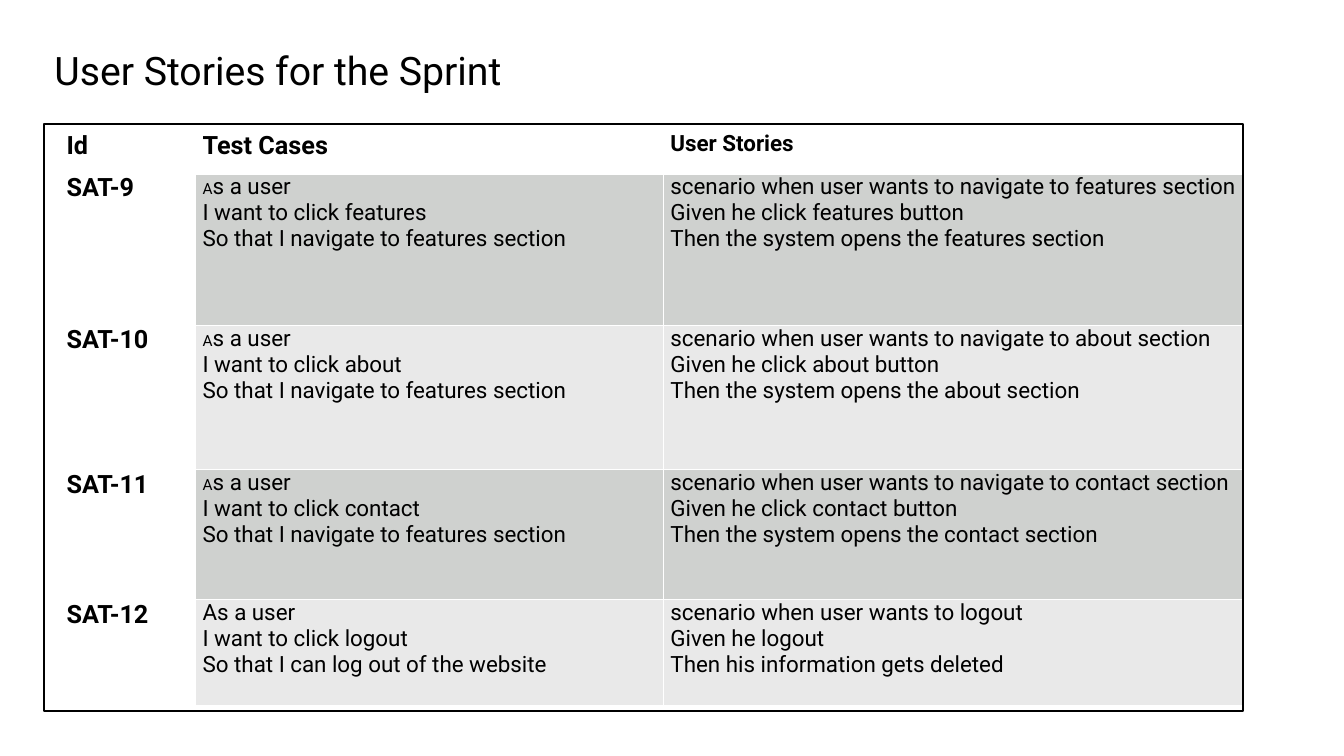
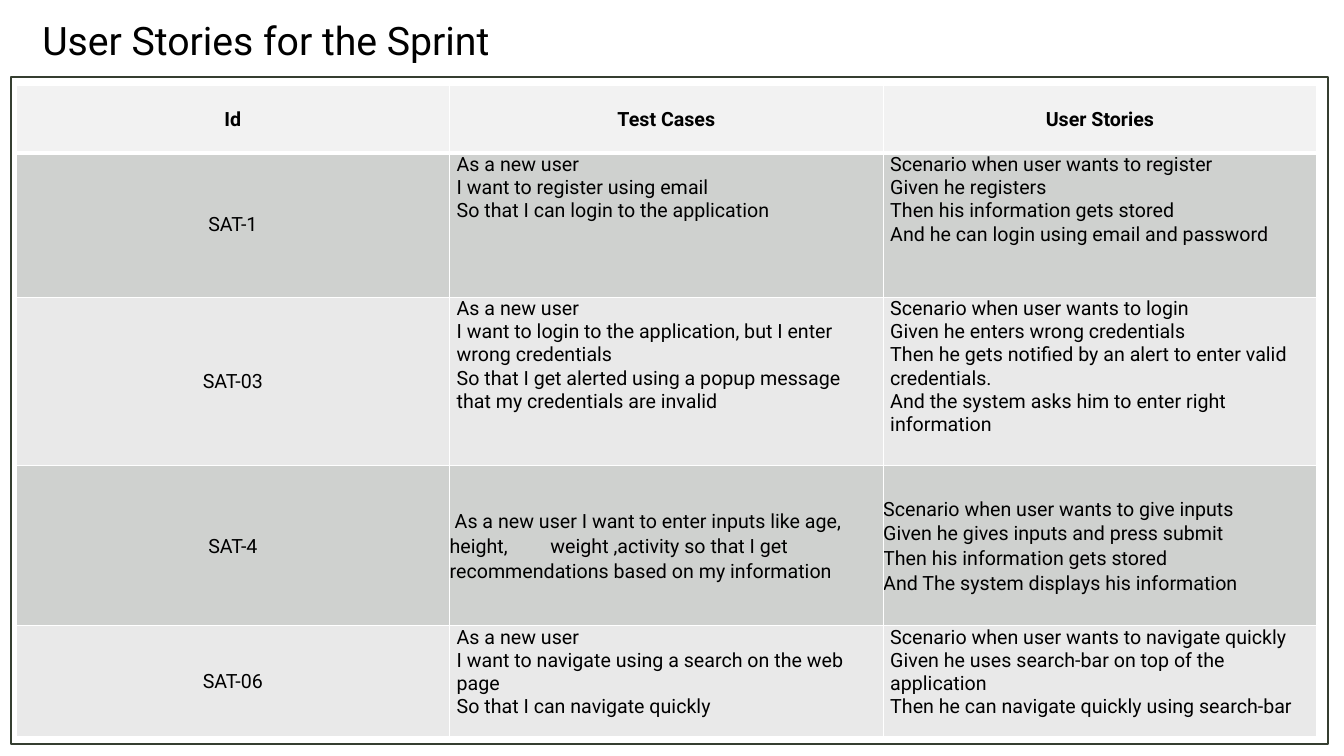
from dataclasses import dataclass

from lxml.etree import SubElement
from pptx import Presentation
from pptx.dml.color import RGBColor
from pptx.enum.shapes import MSO_SHAPE as Shape
from pptx.enum.text import MSO_ANCHOR as Anchor, MSO_AUTO_SIZE as AutoSize, PP_ALIGN as Align
from pptx.oxml.ns import qn
from pptx.util import Inches, Pt

FONT = "Roboto"
BLACK, WHITE = "000000", "FFFFFF"
BANDS = ["CFD1CF", "E9E9E9"]
TITLE = "User Stories for the Sprint"
HEADINGS = ["Id", "Test Cases", "User Stories"]


@dataclass
class Look:
    """Describe how the story table of one slide is styled."""
    heading_sizes: list
    heading_fill: str
    id_size: int
    story_size: int
    id_bold: bool = False
    id_fill: str = ""
    centered: bool = False
    small_initial_ids: tuple = ()
    tight_ids: tuple = ()


NAVIGATION_LOOK = Look([18, 18, 16], WHITE, 18, 16, id_bold=True, id_fill=WHITE,
                       small_initial_ids=("SAT-9", "SAT-10", "SAT-11"))
ACCOUNT_LOOK = Look([14, 14, 14], "F2F2F2", 14, 14, centered=True, tight_ids=("SAT-4",))


def navigation_story(story_id, section):
    """Return the row for a story about opening a section."""
    return (story_id,
            f"As a user\nI want to click {section}\nSo that I navigate to features section",
            f"scenario when user wants to navigate to {section} section\n"
            f"Given he click {section} button\nThen the system opens the {section} section")


NAVIGATION_STORIES = [
    navigation_story("SAT-9", "features"),
    navigation_story("SAT-10", "about"),
    navigation_story("SAT-11", "contact"),
    ("SAT-12",
     "As a user\nI want to click logout\nSo that I can log out of the website",
     "scenario when user wants to logout\nGiven he logout\nThen his information gets deleted"),
]

ACCOUNT_STORIES = [
    ("SAT-1",
     "As a new user\nI want to register using email\nSo that I can login to the application",
     "Scenario when user wants to register\nGiven he registers\n"
     "Then his information gets stored\nAnd he can login using email and password"),
    ("SAT-03",
     "As a new user\nI want to login to the application, but I enter wrong credentials\n"
     "So that I get alerted using a popup message that my credentials are invalid",
     "Scenario when user wants to login\nGiven he enters wrong credentials\n"
     "Then he gets notified by an alert to enter valid credentials.\n"
     "And the system asks him to enter right information"),
    ("SAT-4",
     "As a new user I want to enter inputs like age, height,\tweight ,activity so that I get "
     "recommendations based on my information",
     "Scenario when user wants to give inputs\nGiven he gives inputs and press submit\n"
     "Then his information gets stored\nAnd The system displays his information"),
    ("SAT-06",
     "As a new user\nI want to navigate using a search on the web page\n"
     "So that I can navigate quickly",
     "Scenario when user wants to navigate quickly\n"
     "Given he uses search-bar on top of the application\n"
     "Then he can navigate quickly using search-bar"),
]


def color(value):
    """Turn a hex string into a colour."""
    return RGBColor.from_string(value)


def set_font(font, size, bold=False):
    """Apply the shared typeface in black."""
    font.name, font.size, font.bold = FONT, Pt(size), bold
    font.color.rgb = color(BLACK)


def add_title(slide, left, top):
    """Place the slide title."""
    title = slide.shapes.title
    title.left, title.top, title.width, title.height = map(Inches, (left, top, 4.73, 0.57))
    frame = title.text_frame
    frame.text = TITLE
    frame.auto_size = AutoSize.NONE
    frame.vertical_anchor = Anchor.TOP
    frame.paragraphs[0].alignment = Align.LEFT
    set_font(frame.paragraphs[0].font, 28)


def add_outline(slide, box, line):
    """Draw the unfilled frame around the table."""
    outline = slide.shapes.add_shape(Shape.RECTANGLE, *map(Inches, box))
    outline.shadow.inherit = False
    outline.fill.background()
    outline.line.color.rgb = color(line)
    outline.line.width = Pt(1.5)


def set_borders(cell, top, bottom):
    """Give a cell white borders, with the top and bottom widths in points."""
    properties = cell._tc.get_or_add_tcPr()
    for side, width in (("L", 1), ("R", 1), ("T", top), ("B", bottom)):
        border = SubElement(properties, qn(f"a:ln{side}"), w=str(Pt(width)))
        fill = SubElement(border, qn("a:solidFill"))
        SubElement(fill, qn("a:srgbClr"), val=WHITE)


def set_tab_layout(paragraph):
    """Indent the first line and set the tab stop inside the sentence."""
    properties = paragraph._p.get_or_add_pPr()
    properties.set("marL", "0")
    properties.set("indent", str(Inches(0.05)))
    stops = SubElement(properties, qn("a:tabLst"))
    SubElement(stops, qn("a:tab"), pos=str(Inches(0.82)), algn="l")


def fill_cell(cell, text, fill, size, bold=False, centered=False, tight=False):
    """Write and style the text of one cell."""
    cell.fill.solid()
    cell.fill.fore_color.rgb = color(fill)
    cell.margin_left = cell.margin_right = Inches(0 if tight else 0.07)
    cell.margin_top = cell.margin_bottom = 0
    cell.vertical_anchor = Anchor.MIDDLE if centered or tight else Anchor.TOP
    cell.text = text
    for paragraph in cell.text_frame.paragraphs:
        if "\t" in paragraph.text:
            set_tab_layout(paragraph)
        paragraph.alignment = Align.CENTER if centered else Align.LEFT
        if tight:
            paragraph.line_spacing = 1.07
        set_font(paragraph.font, size, bold)


def shrink_initial(cell):
    """Set the first letter of a cell in a smaller size."""
    paragraph = cell.text_frame.paragraphs[0]
    initial = paragraph.runs[0]
    rest = paragraph.add_run()
    rest.text = initial.text[1:]
    initial.text = initial.text[0]
    initial.font.size = Pt(11)


def add_story_table(slide, left, top, widths, heights, stories, look):
    """Build the table of stories."""
    box = map(Inches, (left, top, sum(widths), sum(heights)))
    table = slide.shapes.add_table(len(heights), len(widths), *box).table
    table.first_row = table.horz_banding = False
    for column, width in zip(table.columns, widths):
        column.width = Inches(width)
    for index, (row, height) in enumerate(zip(table.rows, heights)):
        row.height = Inches(height)
        for cell in row.cells:
            set_borders(cell, 3 if index == 1 else 1, 3 if index == 0 else 1)

    for cell, heading, size in zip(table.rows[0].cells, HEADINGS, look.heading_sizes):
        fill_cell(cell, heading, look.heading_fill, size, True, look.centered)
    for index, (story_id, test_case, story) in enumerate(stories):
        id_cell, case_cell, story_cell = table.rows[index + 1].cells
        band = BANDS[index % 2]
        tight = story_id in look.tight_ids
        fill_cell(id_cell, story_id, look.id_fill or band, look.id_size, look.id_bold,
                  look.centered, tight)
        fill_cell(case_cell, test_case, band, look.story_size, tight=tight)
        fill_cell(story_cell, story, band, look.story_size, tight=tight)
        if story_id in look.small_initial_ids:
            shrink_initial(case_cell)


def add_navigation_slide(slide):
    """Compose the slide of navigation stories."""
    add_title(slide, 0.44, 0.41)
    add_story_table(slide, 0.59, 1.3, [1.35, 4.64, 5.76], [0.42, 1.51, 1.43, 1.29, 1.05],
                    NAVIGATION_STORIES, NAVIGATION_LOOK)
    add_outline(slide, (0.44, 1.23, 11.89, 5.82), BLACK)


def add_account_slide(slide):
    """Compose the slide of account stories."""
    add_title(slide, 0.32, 0.11)
    add_outline(slide, (0.11, 0.76, 13.06, 6.62), "353E30")
    add_story_table(slide, 0.16, 0.85, [4.3] * 3, [0.67, 1.43, 1.67, 1.59, 1.1],
                    ACCOUNT_STORIES, ACCOUNT_LOOK)


def main():
    """Build and save the presentation."""
    deck = Presentation()
    deck.slide_width, deck.slide_height = Inches(13.33), Inches(7.5)
    title_only = deck.slide_layouts[5]
    for compose in (add_navigation_slide, add_account_slide):
        compose(deck.slides.add_slide(title_only))
    deck.save("out.pptx")


if __name__ == "__main__":
    main()
